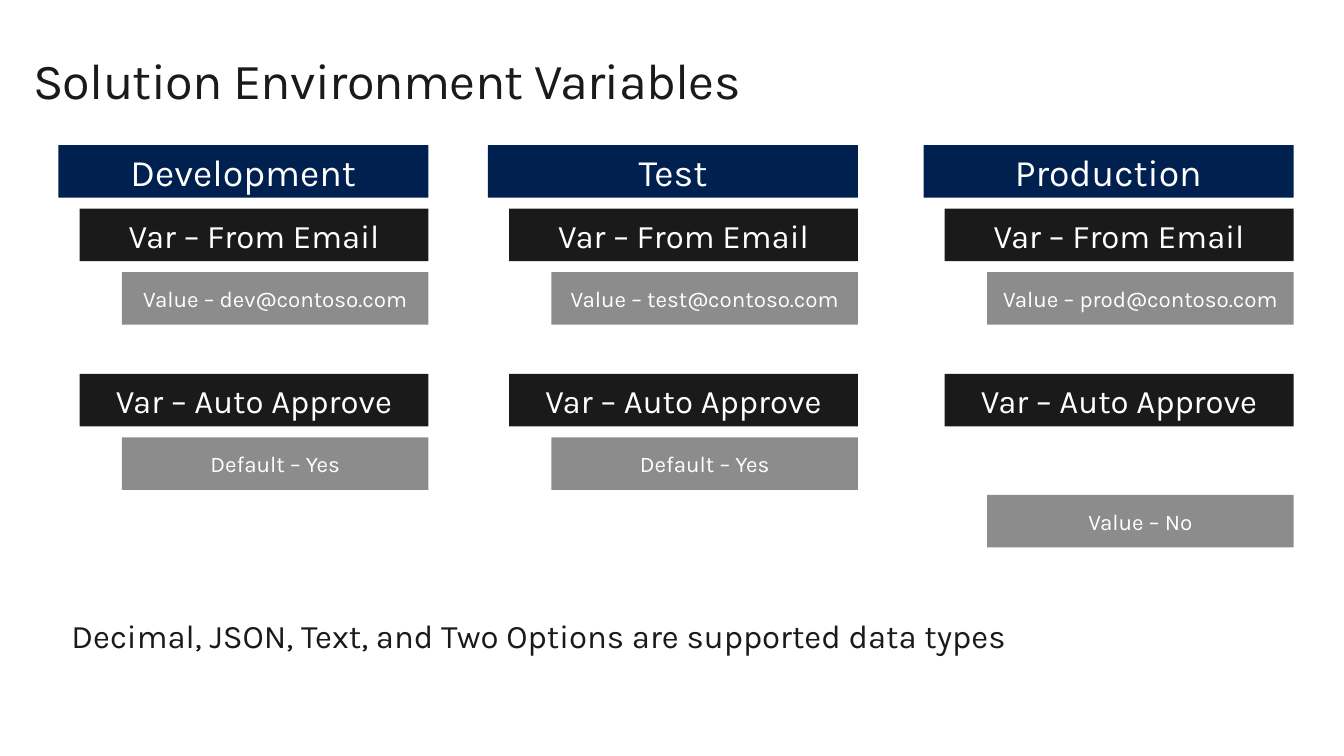
from pptx import Presentation
from pptx.dml.color import RGBColor
from pptx.enum import shapes, text
from pptx.util import Inches, Pt

TITLE = "Solution Environment Variables"
FOOTNOTE = "Decimal, JSON, Text, and Two Options are supported data types"
FROM_EMAIL = "Var – From Email"
AUTO_APPROVE = "Var – Auto Approve"

# Each environment: right edge, then bars as (level, top, label)
ENVIRONMENTS = [
    (4.25, [("environment", 1.44, "Development"),
            ("variable", 2.07, FROM_EMAIL),
            ("value", 2.7, "Value – dev@contoso.com"),
            ("variable", 3.71, AUTO_APPROVE),
            ("value", 4.34, "Default – Yes")]),
    (8.51, [("environment", 1.44, "Test"),
            ("variable", 2.07, FROM_EMAIL),
            ("value", 2.7, "Value – test@contoso.com"),
            ("variable", 3.71, AUTO_APPROVE),
            ("value", 4.34, "Default – Yes")]),
    (12.83, [("environment", 1.44, "Production"),
             ("variable", 2.07, FROM_EMAIL),
             ("value", 2.7, "Value – prod@contoso.com"),
             ("variable", 3.71, AUTO_APPROVE),
             ("value", 4.91, "Value – No")]),
]

FONT = "Karla"
NAVY = RGBColor(0x00, 0x20, 0x50)
INK = RGBColor(0x1A, 0x1A, 0x1A)
GREY = RGBColor(0x8C, 0x8C, 0x8C)
WHITE = RGBColor(0xFF, 0xFF, 0xFF)

# Level: width, fill, text size
LEVELS = {
    "environment": (3.67, NAVY, 26.7),
    "variable": (3.46, INK, 23.5),
    "value": (3.04, GREY, 16),
}
BAR_HEIGHT = 0.52


def write(shape, label, size, color, margins, anchor):
    """Put one styled line of text in a shape; margins are side and top/bottom."""
    frame = shape.text_frame
    frame.word_wrap = True
    frame.vertical_anchor = anchor
    frame.margin_left = frame.margin_right = Inches(margins[0])
    frame.margin_top = frame.margin_bottom = Inches(margins[1])
    line = frame.paragraphs[0]
    line.text = label
    line.font.name = FONT
    line.font.size = Pt(size)
    line.font.color.rgb = color
    return line


def add_bar(slide, right, level, top, label):
    width, fill, size = LEVELS[level]
    bar = slide.shapes.add_shape(
        shapes.MSO_SHAPE.RECTANGLE, Inches(right - width), Inches(top),
        Inches(width), Inches(BAR_HEIGHT))
    bar.shadow.inherit = False
    bar.fill.solid()
    bar.fill.fore_color.rgb = fill
    bar.line.fill.background()
    line = write(bar, label, size, WHITE, (0.13, 0.07), text.MSO_ANCHOR.MIDDLE)
    line.alignment = text.PP_ALIGN.CENTER


def main():
    deck = Presentation()
    deck.slide_width, deck.slide_height = Inches(13.33), Inches(7.5)
    slide = deck.slides.add_slide(deck.slide_layouts[6])

    title = slide.shapes.add_textbox(
        Inches(0.33), Inches(0.25), Inches(12.67), Inches(1.07))
    line = write(title, TITLE, 36, INK, (0, 0.05), text.MSO_ANCHOR.MIDDLE)
    line.runs[0].font._element.set("spc", "-50")

    for right, bars in ENVIRONMENTS:
        for level, top, label in bars:
            add_bar(slide, right, level, top, label)

    footnote = slide.shapes.add_textbox(
        Inches(0.61), Inches(6.06), Inches(11.31), Inches(0.5))
    write(footnote, FOOTNOTE, 23.5, INK, (0.1, 0.05), text.MSO_ANCHOR.TOP)
    footnote.text_frame.auto_size = text.MSO_AUTO_SIZE.SHAPE_TO_FIT_TEXT

    deck.save("out.pptx")


if __name__ == "__main__":
    main()
